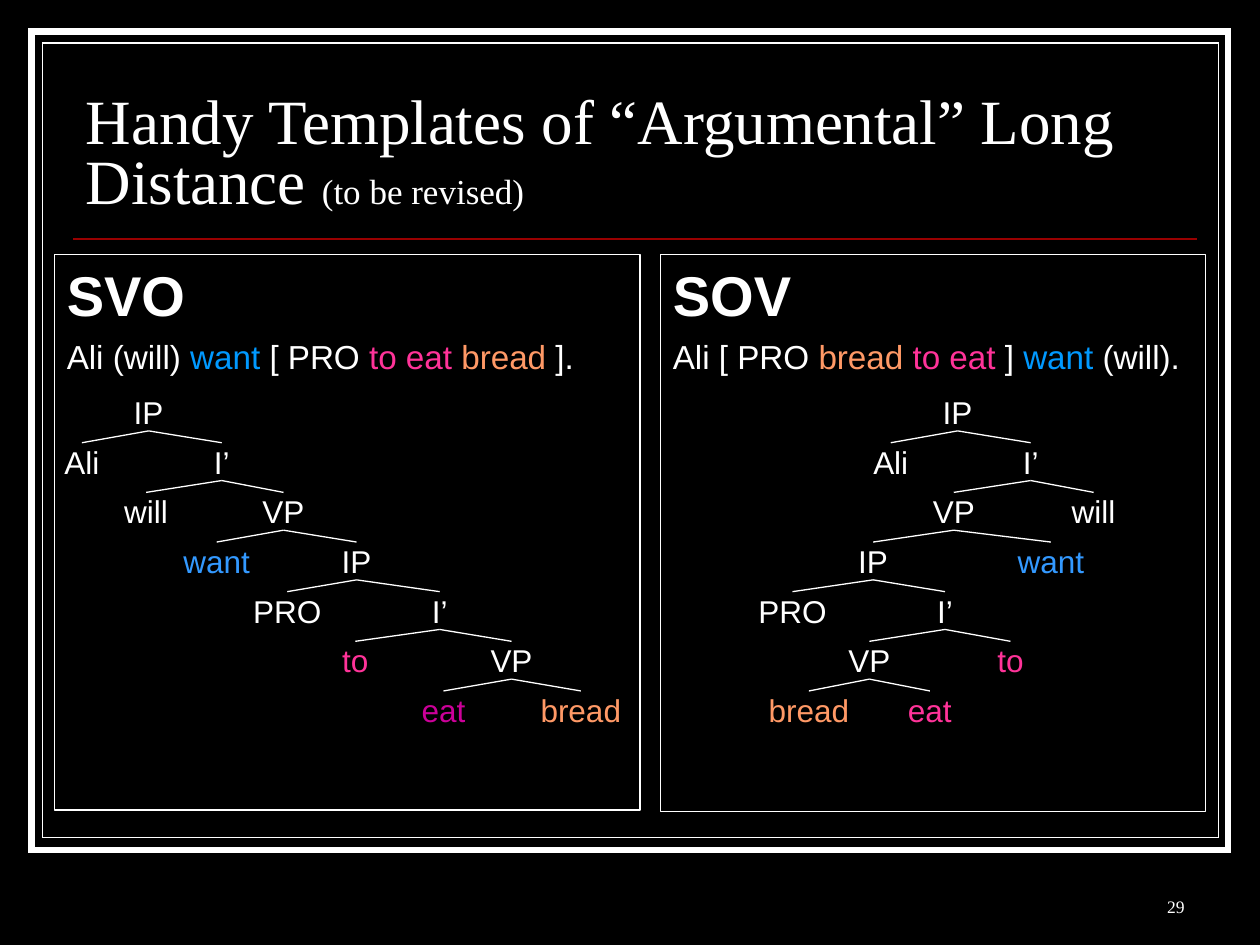
from dataclasses import dataclass

from lxml.etree import SubElement
from pptx import Presentation
from pptx.dml.color import RGBColor
from pptx.enum.shapes import MSO_CONNECTOR as CONNECTOR, MSO_SHAPE as SHAPE
from pptx.enum.text import MSO_ANCHOR as ANCHOR, MSO_AUTO_SIZE as AUTO_SIZE, PP_ALIGN as ALIGN
from pptx.oxml.ns import qn
from pptx.util import Inches, Pt


@dataclass(frozen=True)
class Theme:
    black: RGBColor = RGBColor.from_string("000000")
    white: RGBColor = RGBColor.from_string("FFFFFF")
    rule: RGBColor = RGBColor.from_string("990000")
    matrix: RGBColor = RGBColor.from_string("0099FF")
    matrix_node: RGBColor = RGBColor.from_string("3399FF")
    infinitive: RGBColor = RGBColor.from_string("FF3399")
    eat_node: RGBColor = RGBColor.from_string("CC0099")
    object: RGBColor = RGBColor.from_string("FF9966")
    serif: str = "Times New Roman"
    sans: str = "Arial"
    title: Pt = Pt(36)
    remark: Pt = Pt(20)
    heading: Pt = Pt(32)
    sentence: Pt = Pt(19)
    node: Pt = Pt(18)
    number: Pt = Pt(10)
    hairline: Pt = Pt(0.75)


theme = Theme()

presentation = Presentation()
presentation.slide_width, presentation.slide_height = Inches(10), Inches(7.5)
slide = presentation.slides.add_slide(presentation.slide_layouts[3])
shapes = slide.shapes
slide.background.fill.solid()
slide.background.fill.fore_color.rgb = theme.black


def add_line(start, end, colour, width):
    line = shapes.add_connector(CONNECTOR.STRAIGHT, *start, *end)
    line.line.color.rgb = colour
    line.line.width = width
    SubElement(line._element.spPr, qn("a:effectLst"))
    return line


def add_runs(paragraph, pieces):
    for words, colour in pieces:
        run = paragraph.add_run()
        run.text = words
        run.font.color.rgb = colour


# Double frame and rule, behind the placeholders
frames = [(0.25, 0.25, 9.5, 6.5, Pt(3.5)), (0.34, 0.34, 9.33, 6.31, theme.hairline)]
backdrop = []
for left, top, width, height, weight in frames:
    frame = shapes.add_shape(SHAPE.RECTANGLE, Inches(left), Inches(top),
                             Inches(width), Inches(height))
    frame.shadow.inherit = False
    frame.fill.solid()
    frame.fill.fore_color.rgb = theme.black
    frame.line.color.rgb = theme.white
    frame.line.width = weight
    SubElement(frame._element.spPr.find(qn("a:ln")), qn("a:miter"), lim="800000")
    backdrop.append(frame)
backdrop.append(add_line((Inches(0.58), Inches(1.9)), (Inches(9.5), Inches(1.9)),
                         theme.rule, Pt(1.25)))
for position, part in enumerate(backdrop):
    shapes._spTree.insert(2 + position, part._element)

# Title
title = shapes.title
title.left, title.top, title.width, title.height = (
    Inches(0.58), Inches(0.52), Inches(8.92), Inches(1.25))
title.text_frame.auto_size = AUTO_SIZE.NONE
title.text_frame.vertical_anchor = ANCHOR.BOTTOM
headline = title.text_frame.paragraphs[0]
headline.alignment = ALIGN.LEFT
headline.line_spacing = 0.8
headline.font.name = theme.serif
headline.font.color.rgb = theme.white
for words, size in [("Handy Templates of “Argumental” Long Distance ", theme.title),
                    ("(to be revised)", theme.remark)]:
    run = headline.add_run()
    run.text = words
    run.font.size = size

# Word order panels
panels = [
    (1, (0.43, 2.02, 4.65, 4.41), "SVO", [
        ("Ali (will) ", theme.white), ("want", theme.matrix), (" [ PRO ", theme.white),
        ("to eat ", theme.infinitive), ("bread ", theme.object), ("].", theme.white)]),
    (2, (5.24, 2.02, 4.33, 4.42), "SOV", [
        ("Ali [ PRO ", theme.white), ("bread ", theme.object),
        ("to eat ", theme.infinitive), ("] ", theme.white),
        ("want ", theme.matrix), ("(will).", theme.white)]),
]
for index, box, order, sentence in panels:
    panel = slide.placeholders[index]
    panel.left, panel.top, panel.width, panel.height = map(Inches, box)
    panel.line.color.rgb = theme.white
    panel.line.width = theme.hairline
    frame = panel.text_frame
    frame.auto_size = AUTO_SIZE.NONE
    frame.margin_top = Inches(0.05)
    lines = [(frame.paragraphs[0], [(order, theme.white)], theme.heading, True, 0),
             (frame.add_paragraph(), sentence, theme.sentence, False, 4.8)]
    for paragraph, pieces, size, bold, space in lines:
        properties = paragraph._p.get_or_add_pPr()
        properties.set("marL", str(Inches(0.38)))
        properties.set("indent", str(Inches(-0.38)))
        SubElement(properties, qn("a:buNone"))
        paragraph.space_before = Pt(space)
        paragraph.font.name = theme.sans
        paragraph.font.size = size
        paragraph.font.bold = bold
        add_runs(paragraph, pieces)

# Syntax trees: each level is (label, centre, colour) per node;
# the node with the phrase label branches into the next level
node_widths = {"IP": 0.26, "I’": 0.15, "VP": 0.37, "Ali": 0.3, "will": 0.37, "want": 0.55,
               "PRO": 0.58, "to": 0.23, "eat": 0.37, "bread": 0.66}
phrases = {"IP", "I’", "VP"}
tree_top, level_step, node_height = 3.12, 0.394, 0.3
svo_tree = [
    [("IP", 1.18, theme.white)],
    [("Ali", 0.65, theme.white), ("I’", 1.76, theme.white)],
    [("will", 1.16, theme.white), ("VP", 2.25, theme.white)],
    [("want", 1.72, theme.matrix_node), ("IP", 2.83, theme.white)],
    [("PRO", 2.28, theme.white), ("I’", 3.49, theme.white)],
    [("to", 2.82, theme.infinitive), ("VP", 4.06, theme.white)],
    [("eat", 3.52, theme.eat_node), ("bread", 4.61, theme.object)],
]
sov_tree = [
    [("IP", 7.6, theme.white)],
    [("Ali", 7.07, theme.white), ("I’", 8.18, theme.white)],
    [("VP", 7.57, theme.white), ("will", 8.68, theme.white)],
    [("IP", 6.93, theme.white), ("want", 8.34, theme.matrix_node)],
    [("PRO", 6.29, theme.white), ("I’", 7.5, theme.white)],
    [("VP", 6.9, theme.white), ("to", 8.02, theme.infinitive)],
    [("bread", 6.42, theme.object), ("eat", 7.38, theme.infinitive)],
]
for tree in (svo_tree, sov_tree):
    parent = None
    for depth, level in enumerate(tree):
        branching = None
        for label, centre, colour in level:
            width = node_widths[label]
            node = shapes.add_textbox(Inches(centre - width / 2),
                                      Inches(tree_top + depth * level_step),
                                      Inches(width), Inches(node_height))
            frame = node.text_frame
            frame.margin_left = frame.margin_right = frame.margin_top = frame.margin_bottom = 0
            frame.vertical_anchor = ANCHOR.MIDDLE
            frame.word_wrap = False
            frame.auto_size = AUTO_SIZE.NONE
            paragraph = frame.paragraphs[0]
            paragraph.alignment = ALIGN.CENTER
            paragraph.font.name = theme.sans
            paragraph.font.size = theme.node
            add_runs(paragraph, [(label, colour)])
            if parent is not None:
                branch = add_line((0, 0), (0, 0), theme.white, theme.hairline)
                branch.begin_connect(parent, 2)
                branch.end_connect(node, 0)
            if label in phrases:
                branching = node
        parent = branching

# Slide number
number = shapes.add_textbox(Inches(7.42), Inches(6.83), Inches(2.08), Inches(0.5))
number.text_frame.word_wrap = True
number.text_frame.vertical_anchor = ANCHOR.BOTTOM
paragraph = number.text_frame.paragraphs[0]
paragraph.alignment = ALIGN.RIGHT
paragraph.font.name = theme.serif
paragraph.font.size = theme.number
add_runs(paragraph, [("29", theme.white)])

presentation.save("out.pptx")
